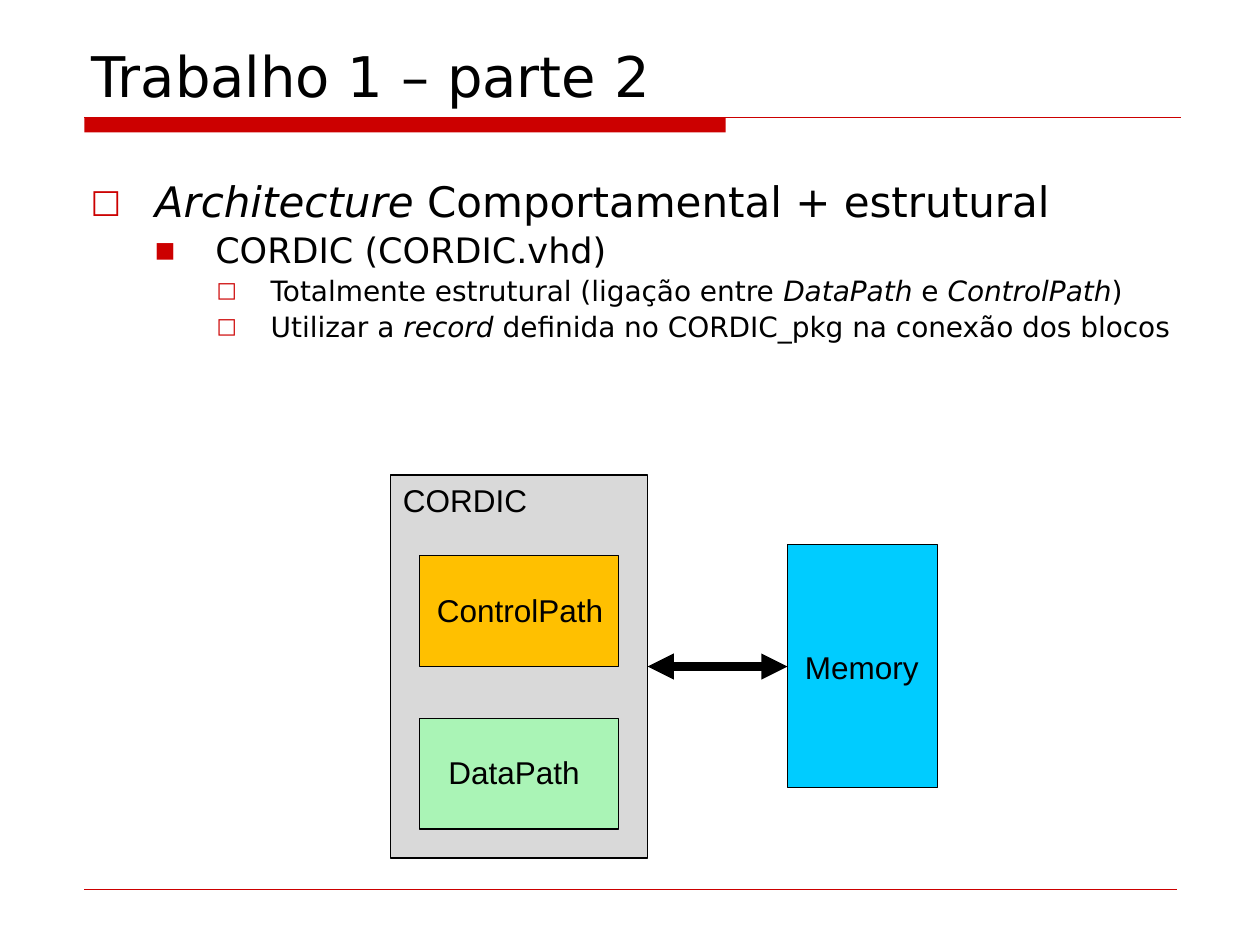
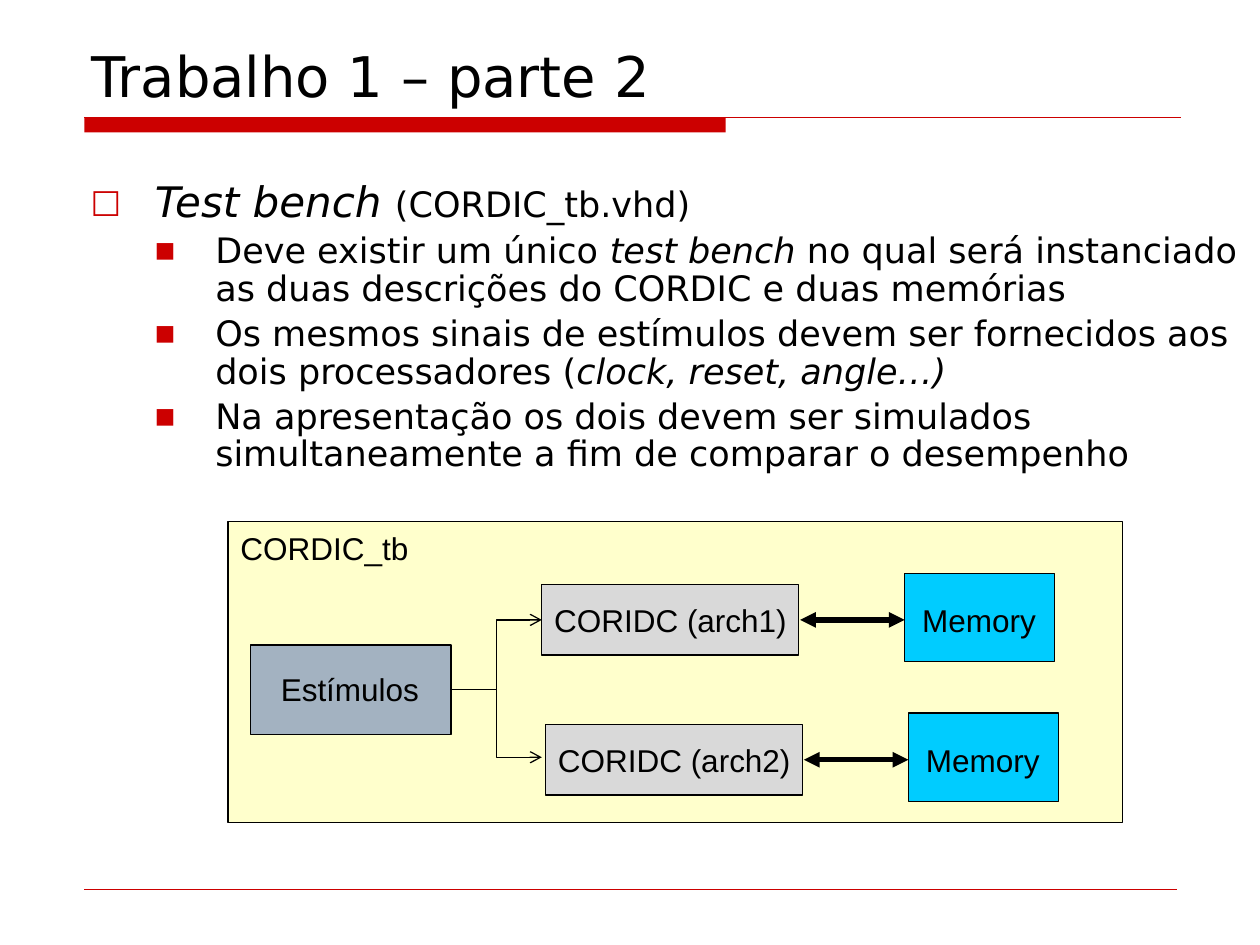
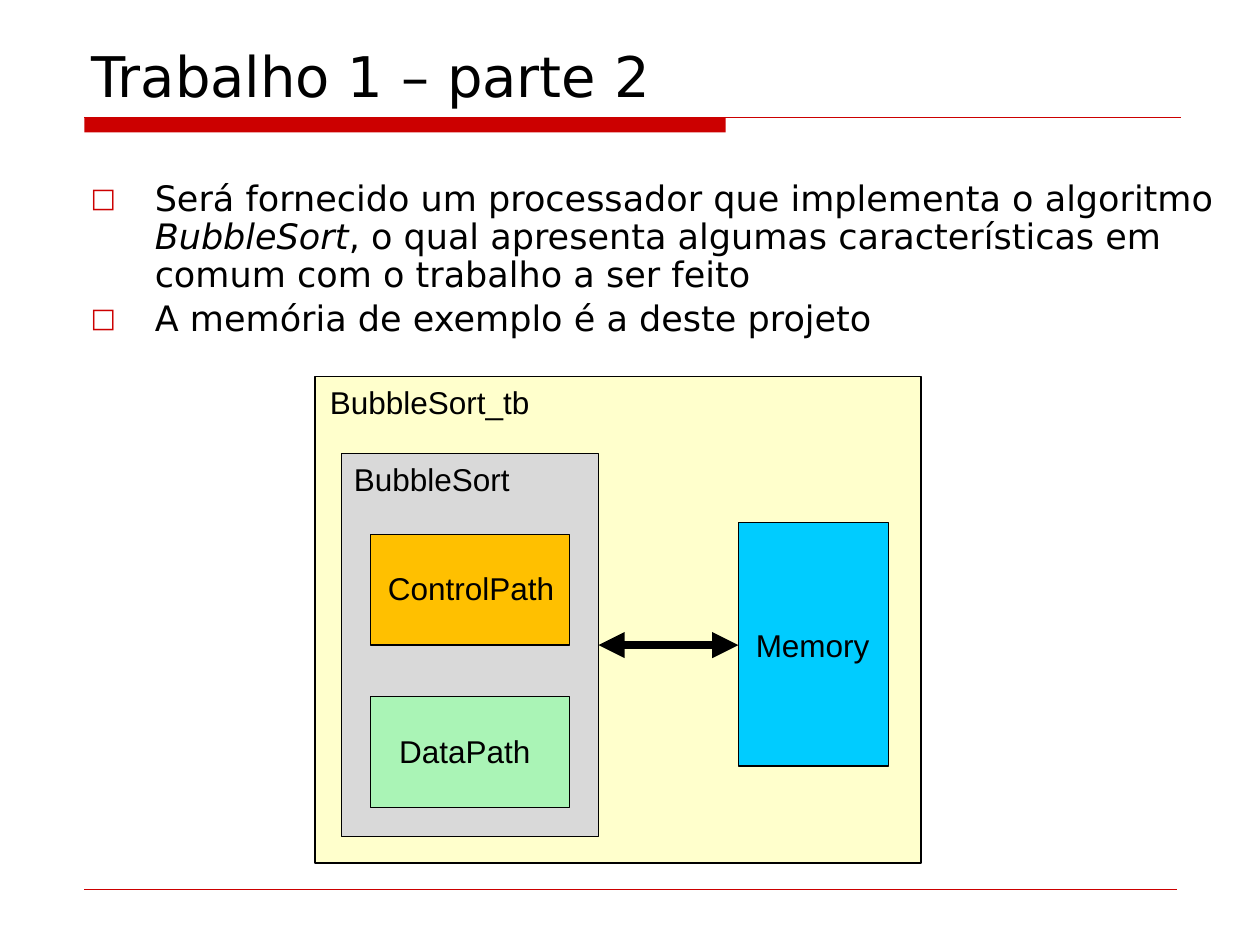
from dataclasses import dataclass
from typing import NamedTuple

from lxml import etree
from pptx import Presentation
from pptx.dml.color import RGBColor
from pptx.enum.shapes import MSO_CONNECTOR, MSO_SHAPE
from pptx.enum.text import MSO_ANCHOR, MSO_AUTO_SIZE
from pptx.oxml.ns import qn
from pptx.util import Inches, Pt

RECTANGLE = MSO_SHAPE.RECTANGLE
STRAIGHT = MSO_CONNECTOR.STRAIGHT
ELBOW = MSO_CONNECTOR.ELBOW
BOTTOM = MSO_ANCHOR.BOTTOM
GROW = MSO_AUTO_SIZE.SHAPE_TO_FIT_TEXT

SLIDE_WIDTH = Inches(10)
SLIDE_HEIGHT = Inches(7.5)
COLUMNS = 100
ROWS = 75
BLANK_LAYOUT = 6


@dataclass(frozen=True)
class Theme:
    black: str = "000000"
    red: str = "CC0000"
    gray: str = "D9D9D9"
    amber: str = "FFC000"
    green: str = "AAF4B6"
    cyan: str = "00CCFF"
    cream: str = "FFFFCC"
    slate: str = "A3B2C1"
    text_font: str = "DejaVu Sans"
    label_font: str = "Arial"
    title_size: float = 32
    topic_size: float = 24
    item_size: float = 20
    detail_size: float = 16
    label_size: float = 18
    outline: float = 0.75
    hairline: float = 0.25
    bus: float = 3
    wide_bus: float = 5
    line_spacing: float = 0.9
    space_share: float = 0.2


THEME = Theme()


class Point(NamedTuple):
    column: float
    row: float

    def shifted(self, columns: float, rows: float) -> "Point":
        return Point(self.column + columns, self.row + rows)


class Area(NamedTuple):
    column: float
    row: float
    columns: float
    rows: float

    def moved(self, origin: Point) -> "Area":
        return Area(self.column + origin.column, self.row + origin.row, self.columns, self.rows)


class Span(NamedTuple):
    text: str
    italic: bool = False
    size: float | None = None


class Level(NamedTuple):
    margin: float
    hanging: float
    bullet: str
    bullet_share: int
    size: float


class Bullet(NamedTuple):
    level: Level
    spans: list[Span]


class Block(NamedTuple):
    area: Area
    fill: str


class Label(NamedTuple):
    text: str
    area: Area
    fill: str | None = None


TOPIC = Level(5.1, 5.1, "□", 77, THEME.topic_size)
STATEMENT = TOPIC._replace(size=THEME.item_size)
ITEM = Level(9.9, 4.8, "■", 62, THEME.item_size)
DETAIL = Level(14.3, 4.3, "□", 77, THEME.detail_size)

TITLE = "Trabalho 1 – parte 2"
TITLE_AREA = Area(6.3, 3.3, 87.5, 5.8)
TITLE_BAR = Area(6.7, 9.3, 50.9, 1.2)
TITLE_RULE = (Point(6.7, 9.3), Point(93.7, 9.3))
FOOTER_RULE = (Point(6.7, 70.6), Point(93.4, 70.6))
BODY_START = Point(6.2, 13.9)
BODY_COLUMNS = 93.8
LABEL_ROWS = 4

ARCHITECTURE_BULLETS = [
    Bullet(TOPIC, [Span("Architecture", True), Span(" Comportamental + estrutural")]),
    Bullet(ITEM, [Span("CORDIC (CORDIC.vhd)")]),
    Bullet(DETAIL, [
        Span("Totalmente estrutural (ligação entre "), Span("DataPath", True),
        Span(" e "), Span("ControlPath", True), Span(")"),
    ]),
    Bullet(DETAIL, [
        Span("Utilizar a "), Span("record", True),
        Span(" definida no CORDIC_pkg na conexão dos blocos"),
    ]),
]
TEST_BENCH_BULLETS = [
    Bullet(TOPIC, [Span("Test bench ", True), Span("(CORDIC_tb.vhd)", size=THEME.item_size)]),
    Bullet(ITEM, [
        Span("Deve existir um único "), Span("test bench", True),
        Span(" no qual será instanciado as duas descrições do CORDIC e duas memórias"),
    ]),
    Bullet(ITEM, [
        Span("Os mesmos sinais de estímulos devem ser fornecidos aos dois processadores ("),
        Span("clock, reset, angle…)", True),
    ]),
    Bullet(ITEM, [
        Span("Na apresentação os dois devem ser simulados simultaneamente "
             "a fim de comparar o desempenho"),
    ]),
]
EXAMPLE_BULLETS = [
    Bullet(STATEMENT, [
        Span("Será fornecido um processador que implementa o algoritmo "),
        Span("BubbleSort", True),
        Span(", o qual apresenta algumas características em comum com o trabalho a ser feito"),
    ]),
    Bullet(STATEMENT, [Span("A memória de exemplo é a deste projeto")]),
]

PROCESSOR_BLOCKS = [
    Block(Area(0, 0, 20.4, 30.4), THEME.gray),
    Block(Area(2.3, 6.4, 15.8, 8.8), THEME.amber),
    Block(Area(2.3, 19.3, 15.8, 8.8), THEME.green),
    Block(Area(31.5, 5.5, 11.9, 19.3), THEME.cyan),
]
PROCESSOR_LABELS = [
    Label("ControlPath", Area(2.7, 8.7, 15.3, LABEL_ROWS), THEME.amber),
    Label("DataPath", Area(3.6, 21.6, 12.5, LABEL_ROWS)),
    Label("Memory", Area(31.9, 13.2, 11.1, LABEL_ROWS)),
]
LANE_BLOCKS = [
    Block(Area(0, 0, 20.4, 5.6), THEME.gray),
    Block(Area(28.8, -0.9, 11.9, 7), THEME.cyan),
]
LANE_MEMORY = Label("Memory", Area(29.2, 0.8, 11.1, LABEL_ROWS))
LANE_ORIGINS = {"CORIDC (arch1)": Point(43, 46.4), "CORIDC (arch2)": Point(43.3, 57.5)}
STIMULI_OUTPUT = Point(35.8, 54.7)
LANE_INPUTS = [Point(43, 49.2), Point(43, 60.1)]


def across(columns: float) -> int:
    return round(SLIDE_WIDTH * columns / COLUMNS)


def down(rows: float) -> int:
    return round(SLIDE_HEIGHT * rows / ROWS)


def place(area: Area) -> tuple[int, int, int, int]:
    return across(area.column), down(area.row), across(area.columns), down(area.rows)


def color(value: str) -> RGBColor:
    return RGBColor.from_string(value)


def set_font(font, name: str, size: float) -> None:
    font.name = name
    font.size = Pt(size)
    font.color.rgb = color(THEME.black)


def draw_block(slide, block: Block, outlined: bool = True) -> None:
    shape = slide.shapes.add_shape(RECTANGLE, *place(block.area))
    shape.shadow.inherit = False
    shape.fill.solid()
    shape.fill.fore_color.rgb = color(block.fill)
    if outlined:
        shape.line.color.rgb = color(THEME.black)
        shape.line.width = Pt(THEME.outline)
    else:
        shape.line.fill.background()


def draw_label(slide, label: Label) -> None:
    shape = slide.shapes.add_textbox(*place(label.area))
    if label.fill:
        shape.fill.solid()
        shape.fill.fore_color.rgb = color(label.fill)
    shape.text_frame.word_wrap = False
    shape.text_frame.auto_size = GROW
    paragraph = shape.text_frame.paragraphs[0]
    paragraph.text = label.text
    set_font(paragraph.font, THEME.label_font, THEME.label_size)


def draw_line(slide, start: Point, end: Point, width: float, line_color: str = THEME.black,
              kind=STRAIGHT, head: str | None = None, tail: str | None = None) -> None:
    connector = slide.shapes.add_connector(
        kind, across(start.column), down(start.row), across(end.column), down(end.row))
    connector.line.color.rgb = color(line_color)
    connector.line.width = Pt(width)
    properties = connector._element.spPr
    outline = properties.find(qn("a:ln"))
    for tag, arrow in (("a:headEnd", head), ("a:tailEnd", tail)):
        if arrow:
            etree.SubElement(outline, qn(tag), type=arrow)
    etree.SubElement(properties, qn("a:effectLst"))


def draw_bus(slide, start: Point, columns: float, width: float) -> None:
    draw_line(slide, start, start.shifted(columns, 0), width, head="triangle", tail="triangle")


def add_bullet_mark(paragraph, level: Level) -> None:
    properties = paragraph._p.get_or_add_pPr()
    properties.set("marL", str(across(level.margin)))
    properties.set("indent", str(-across(level.hanging)))
    mark_color = etree.SubElement(properties, qn("a:buClr"))
    etree.SubElement(mark_color, qn("a:srgbClr"), val=THEME.red)
    etree.SubElement(properties, qn("a:buSzPct"), val=str(level.bullet_share * 1000))
    etree.SubElement(properties, qn("a:buFont"), typeface=THEME.text_font)
    etree.SubElement(properties, qn("a:buChar"), char=level.bullet)


def draw_bullets(slide, bullets: list[Bullet], rows: float) -> None:
    frame = slide.shapes.add_textbox(*place(Area(*BODY_START, BODY_COLUMNS, rows))).text_frame
    frame.word_wrap = True
    for index, bullet in enumerate(bullets):
        paragraph = frame.add_paragraph() if index else frame.paragraphs[0]
        add_bullet_mark(paragraph, bullet.level)
        paragraph.line_spacing = THEME.line_spacing
        paragraph.space_before = Pt(bullet.level.size * THEME.space_share)
        set_font(paragraph.font, THEME.text_font, bullet.level.size)
        for span in bullet.spans:
            run = paragraph.add_run()
            run.text = span.text
            if span.italic:
                run.font.italic = True
            if span.size:
                run.font.size = Pt(span.size)


def add_titled_slide(presentation, bullets: list[Bullet], body_rows: float):
    slide = presentation.slides.add_slide(presentation.slide_layouts[BLANK_LAYOUT])
    draw_block(slide, Block(TITLE_BAR, THEME.red), outlined=False)
    draw_line(slide, *TITLE_RULE, THEME.outline, THEME.red)
    draw_line(slide, *FOOTER_RULE, THEME.hairline, THEME.red)
    frame = slide.shapes.add_textbox(*place(TITLE_AREA)).text_frame
    frame.word_wrap = True
    frame.vertical_anchor = BOTTOM
    paragraph = frame.paragraphs[0]
    paragraph.text = TITLE
    set_font(paragraph.font, THEME.text_font, THEME.title_size)
    draw_bullets(slide, bullets, body_rows)
    return slide


def draw_parts(slide, origin: Point, blocks: list[Block], labels: list[Label]) -> None:
    for block in blocks:
        draw_block(slide, block._replace(area=block.area.moved(origin)))
    for label in labels:
        draw_label(slide, label._replace(area=label.area.moved(origin)))


def draw_processor(slide, name: str, name_columns: float, origin: Point) -> None:
    name_label = Label(name, Area(0, 0, name_columns, LABEL_ROWS))
    draw_parts(slide, origin, PROCESSOR_BLOCKS, [name_label, *PROCESSOR_LABELS])
    draw_bus(slide, origin.shifted(20.4, 15.2), 11.1, THEME.wide_bus)


def draw_lane(slide, name: str, origin: Point) -> None:
    name_label = Label(name, Area(0, 0.8, 20.7, LABEL_ROWS))
    draw_parts(slide, origin, LANE_BLOCKS, [name_label, LANE_MEMORY])
    draw_bus(slide, origin.shifted(20.5, 2.8), 8.3, THEME.bus)


def build_architecture_slide(presentation) -> None:
    slide = add_titled_slide(presentation, ARCHITECTURE_BULLETS, 15.6)
    draw_processor(slide, "CORDIC", 12, Point(31, 37.7))


def build_test_bench_slide(presentation) -> None:
    slide = add_titled_slide(presentation, TEST_BENCH_BULLETS, 25)
    draw_block(slide, Block(Area(18.1, 41.4, 71, 23.9), THEME.cream))
    draw_label(slide, Label("CORDIC_tb", Area(18.1, 41.5, 15.5, LABEL_ROWS)))
    for name, origin in LANE_ORIGINS.items():
        draw_lane(slide, name, origin)
    draw_block(slide, Block(Area(19.9, 51.2, 15.9, 7.1), THEME.slate))
    draw_label(slide, Label("Estímulos", Area(21.3, 52.7, 13.1, LABEL_ROWS)))
    for lane_input in LANE_INPUTS:
        draw_line(slide, STIMULI_OUTPUT, lane_input, THEME.outline, kind=ELBOW, tail="arrow")


def build_example_slide(presentation) -> None:
    slide = add_titled_slide(presentation, EXAMPLE_BULLETS, 15.6)
    draw_block(slide, Block(Area(25, 29.9, 48.1, 38.6), THEME.cream))
    draw_label(slide, Label("BubbleSort_tb", Area(25.2, 29.9, 18, LABEL_ROWS)))
    draw_processor(slide, "BubbleSort", 14.5, Point(27.1, 36))


def main() -> None:
    presentation = Presentation()
    presentation.slide_width = SLIDE_WIDTH
    presentation.slide_height = SLIDE_HEIGHT
    build_architecture_slide(presentation)
    build_test_bench_slide(presentation)
    build_example_slide(presentation)
    presentation.save("out.pptx")


if __name__ == "__main__":
    main()
